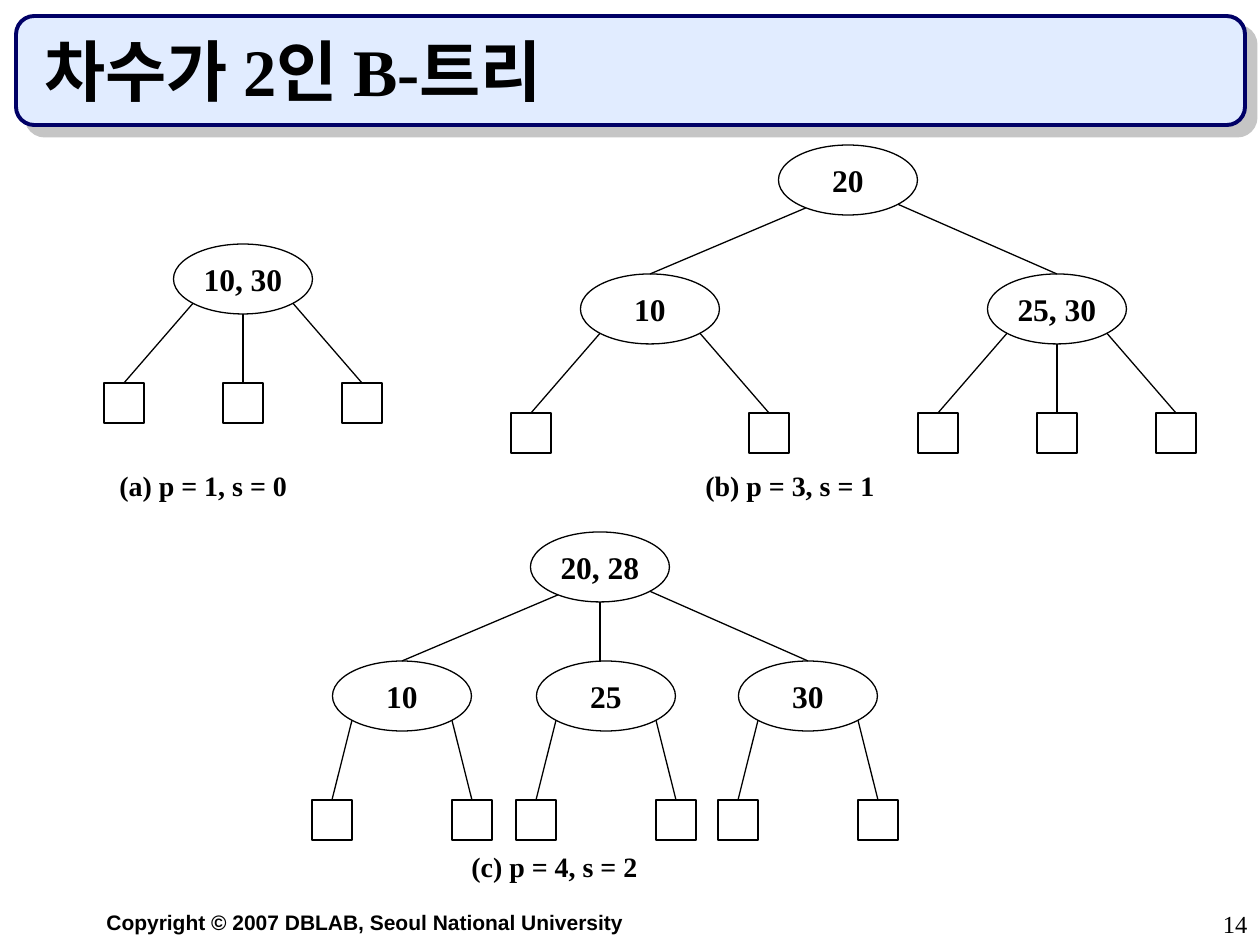
import math

import pptx
import pptx.dml.color
import pptx.enum.shapes
import pptx.enum.text
import pptx.oxml
import pptx.oxml.ns
import pptx.util

EMU_PER_PX = 914400 / 126
COLOURS = {"ink": "000000", "banner": "E1ECFF", "border": "000066", "shadow": "B2B2B2"}
SERIF, SANS = "Times New Roman", "Arial"
NODE_WIDTH, NODE_HEIGHT, LEAF_SIZE = 139, 70, 40
ALIGN = pptx.enum.text.PP_ALIGN
ANCHOR = pptx.enum.text.MSO_ANCHOR
SHAPE = pptx.enum.shapes.MSO_SHAPE


def px(length):
    """Turn pixels into EMU."""
    return pptx.util.Emu(round(length * EMU_PER_PX))


def colour(name):
    """Look up a named colour."""
    return pptx.dml.color.RGBColor.from_string(COLOURS[name])


def write(shape, text, size=18, font=SERIF, bold=True, align=ALIGN.LEFT, anchor=ANCHOR.TOP, wrap=True):
    """Put formatted text into a shape."""
    frame = shape.text_frame
    frame.word_wrap = wrap
    frame.auto_size = pptx.enum.text.MSO_AUTO_SIZE.NONE
    frame.vertical_anchor = anchor
    frame.text = text
    paragraph = frame.paragraphs[0]
    paragraph.alignment = align
    paragraph.font.size = pptx.util.Pt(size)
    paragraph.font.name = font
    paragraph.font.bold = bold
    paragraph.font.color.rgb = colour("ink")


class TreeSlide:
    """Holds the slide and draws its elements in one style."""

    def __init__(self, presentation):
        """Add a slide with the title-only layout."""
        self.slide = presentation.slides.add_slide(presentation.slide_layouts[5])
        self.shapes = self.slide.shapes

    def outline(self, item, name="ink", width=0.75):
        """Set the line of a shape or connector."""
        item.line.color.rgb = colour(name)
        item.line.width = pptx.util.Pt(width)

    def shape(self, kind, left, top, width, height):
        """Add an unfilled outlined shape."""
        shape = self.shapes.add_shape(kind, px(left), px(top), px(width), px(height))
        shape.shadow.inherit = False
        shape.fill.background()
        self.outline(shape)
        return shape

    def banner(self, left, top, width, height):
        """Add the rounded title panel with its shadow."""
        panel = self.shape(SHAPE.ROUNDED_RECTANGLE, left, top, width, height)
        panel.adjustments[0] = 0.167
        panel.fill.solid()
        panel.fill.fore_color.rgb = colour("banner")
        self.outline(panel, "border", 2.25)
        effects = panel.element.spPr.find(pptx.oxml.ns.qn("a:effectLst"))
        effects.append(pptx.oxml.parse_xml(
            f'<a:outerShdw {pptx.oxml.ns.nsdecls("a")} dist="107950" dir="2700000" algn="ctr" rotWithShape="0">'
            f'<a:srgbClr val="{COLOURS["shadow"]}"><a:alpha val="75000"/></a:srgbClr></a:outerShdw>'))

    def title(self, text, left, top, width, height):
        """Place the title placeholder above the banner."""
        title = self.shapes.title
        title.left, title.top, title.width, title.height = map(px, (left, top, width, height))
        write(title, text, size=38, anchor=ANCHOR.BOTTOM)
        self.shapes.element.append(title.element)

    def label(self, text, left, top, width, height, **style):
        """Add a text box."""
        write(self.shapes.add_textbox(px(left), px(top), px(width), px(height)), text, **style)

    def branch(self, centre, top, reach, end_x, end_y):
        """Join the lower rim of a node to a child."""
        half = NODE_HEIGHT / 2
        drop = half + half * math.sqrt(1 - (2 * reach / NODE_WIDTH) ** 2)
        line = self.shapes.add_connector(
            pptx.enum.shapes.MSO_CONNECTOR.STRAIGHT,
            px(centre + reach), px(top + drop), px(end_x), px(end_y))
        self.outline(line)
        line.element.spPr.append(pptx.oxml.parse_xml(f'<a:effectLst {pptx.oxml.ns.nsdecls("a")}/>'))

    def node(self, keys, centre, top, leaf_offsets=()):
        """Add a key node with its empty leaves."""
        ellipse = self.shape(SHAPE.OVAL, centre - NODE_WIDTH / 2, top, NODE_WIDTH, NODE_HEIGHT)
        write(ellipse, keys, align=ALIGN.CENTER, anchor=ANCHOR.MIDDLE, wrap=False)
        leaf_top = top + 2 * NODE_HEIGHT - 1
        for offset in leaf_offsets:
            leaf = centre + offset
            self.shape(SHAPE.RECTANGLE, leaf - LEAF_SIZE / 2, leaf_top, LEAF_SIZE, LEAF_SIZE)
            reach = math.copysign(50, offset) if offset else 0
            self.branch(centre, top, reach, leaf, leaf_top)


def main():
    """Build the slide and save it."""
    presentation = pptx.Presentation()
    presentation.slide_width, presentation.slide_height = px(1260), px(945)
    page = TreeSlide(presentation)
    page.banner(16, 16, 1229, 109)
    page.title("차수가 2인 B-트리", 32, 32, 1187, 84)

    wide_pair, wide_triple, narrow_pair = (-119, 119), (-119, 0, 119), (-70, 70)
    for keys, centre, top, leaf_offsets in (
        ("10, 30", 243, 244, wide_triple),
        ("20", 848, 145, ()),
        ("10", 650, 274, wide_pair),
        ("25, 30", 1057, 274, wide_triple),
        ("20, 28", 600, 532, ()),
        ("10", 402, 661, narrow_pair),
        ("25", 606, 661, narrow_pair),
        ("30", 808, 661, narrow_pair),
    ):
        page.node(keys, centre, top, leaf_offsets)

    for centre, top, reach, child, child_top in (
        (848, 145, -42, 650, 274),
        (848, 145, 50, 1057, 274),
        (600, 532, -42, 402, 661),
        (600, 532, 0, 600, 661),
        (600, 532, 50, 808, 661),
    ):
        page.branch(centre, top, reach, child, child_top)

    for caption, left, top in (
        ("(a) p = 1, s = 0", 107, 462),
        ("(b) p = 3, s = 1", 693, 462),
        ("(c) p = 4, s = 2", 459, 843),
    ):
        page.label(caption, left, top, 287, 47, size=16)

    page.label("Copyright © 2007 DBLAB, Seoul National University", 94, 903, 546, 38, size=12, font=SANS)
    page.label("14", 998, 903, 262, 42, size=14, bold=False, align=ALIGN.RIGHT)
    presentation.save("out.pptx")


if __name__ == "__main__":
    main()
